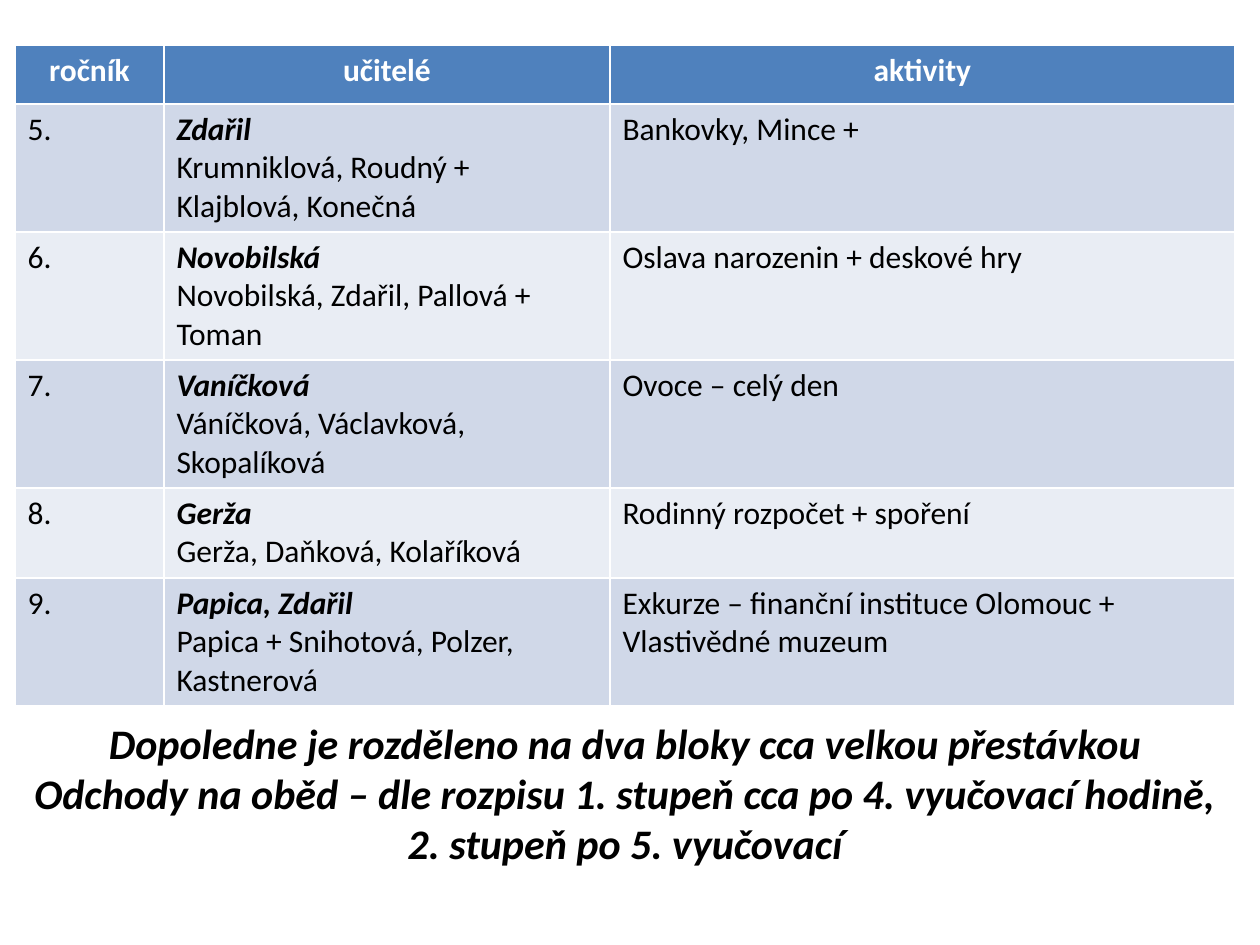
from pptx import Presentation
from pptx import util as u
from pptx.dml.color import RGBColor
from pptx.enum import text

EMU_PER_PX = 914400 / 126
FONT = "Calibri"
WHITE, BLACK, HEADER_BLUE = "FFFFFF", "000000", "4F81BD"
BAND_FILLS = ("D0D8E8", "E9EDF4")
COLUMN_WIDTHS = (149, 446, 625)
ROW_HEIGHTS = (59, 128, 128, 128, 90, 128)
HEADINGS = ("ročník", "učitelé", "aktivity")
GRADES = (
    ("5.", "Zdařil\nKrumniklová, Roudný + Klajblová, Konečná", "Bankovky, Mince +"),
    ("6.", "Novobilská\nNovobilská, Zdařil, Pallová + Toman", "Oslava narozenin + deskové hry"),
    ("7.", "Vaníčková\nVáníčková, Václavková, Skopalíková", "Ovoce – celý den"),
    ("8.", "Gerža\nGerža, Daňková, Kolaříková", "Rodinný rozpočet + spoření"),
    ("9.", "Papica, Zdařil\nPapica + Snihotová, Polzer, Kastnerová",
     "Exkurze – finanční instituce Olomouc + Vlastivědné muzeum"),
)
NOTICE = (
    "Dopoledne je rozděleno na dva bloky cca velkou přestávkou\n"
    "Odchody na oběd – dle rozpisu 1. stupeň cca po 4. vyučovací hodině, "
    "2. stupeň po 5. vyučovací"
)


def px(length):
    """Convert whole pixels to EMU."""
    return u.Emu(round(length * EMU_PER_PX))


def color(hex_string):
    """Return the colour for a hex string."""
    return RGBColor.from_string(hex_string)


def format_paragraph(paragraph, size, hex_color, bold=False, italic=False, centered=False):
    """Set alignment and font of every run in a paragraph."""
    paragraph.alignment = text.PP_ALIGN.CENTER if centered else text.PP_ALIGN.LEFT
    for run in paragraph.runs:
        font = run.font
        font.name, font.size = FONT, u.Pt(size)
        font.bold, font.italic = bold, italic
        font.color.rgb = color(hex_color)


def fill_cell(cell, content, fill):
    """Write the content of a cell on a solid fill."""
    cell.text_frame.text = content
    cell.fill.solid()
    cell.fill.fore_color.rgb = color(fill)


def add_schedule(slide, left, top):
    """Place the table of grades, teachers and activities."""
    rows = (HEADINGS, *GRADES)
    shape = slide.shapes.add_table(
        len(rows), len(HEADINGS), px(left), px(top),
        px(sum(COLUMN_WIDTHS)), px(sum(ROW_HEIGHTS)))
    table = shape.table
    for column, width in zip(table.columns, COLUMN_WIDTHS):
        column.width = px(width)
    for row_index, (row, height, contents) in enumerate(zip(table.rows, ROW_HEIGHTS, rows)):
        row.height = px(height)
        is_header = row_index == 0
        fill = HEADER_BLUE if is_header else BAND_FILLS[(row_index - 1) % 2]
        for cell, content in zip(row.cells, contents):
            fill_cell(cell, content, fill)
            paragraphs = cell.text_frame.paragraphs
            for index, paragraph in enumerate(paragraphs):
                is_leader = len(paragraphs) > 1 and index == 0
                format_paragraph(paragraph, 18, WHITE if is_header else BLACK,
                                 is_header or is_leader, is_leader, is_header)


def add_notice(slide, left, top, width, height):
    """Place the centred notice about breaks and lunch."""
    text_frame = slide.shapes.add_textbox(px(left), px(top), px(width), px(height)).text_frame
    text_frame.word_wrap = True
    text_frame.auto_size = text.MSO_AUTO_SIZE.SHAPE_TO_FIT_TEXT
    text_frame.text = NOTICE
    for paragraph in text_frame.paragraphs:
        format_paragraph(paragraph, 24, BLACK, bold=True, italic=True, centered=True)


def main():
    """Build and save the presentation."""
    presentation = Presentation()
    presentation.slide_width, presentation.slide_height = px(1260), px(945)
    slide = presentation.slides.add_slide(presentation.slide_layouts[6])
    add_schedule(slide, 15, 45)
    add_notice(slide, 15, 711, sum(COLUMN_WIDTHS), 165)
    presentation.save("out.pptx")


if __name__ == "__main__":
    main()
